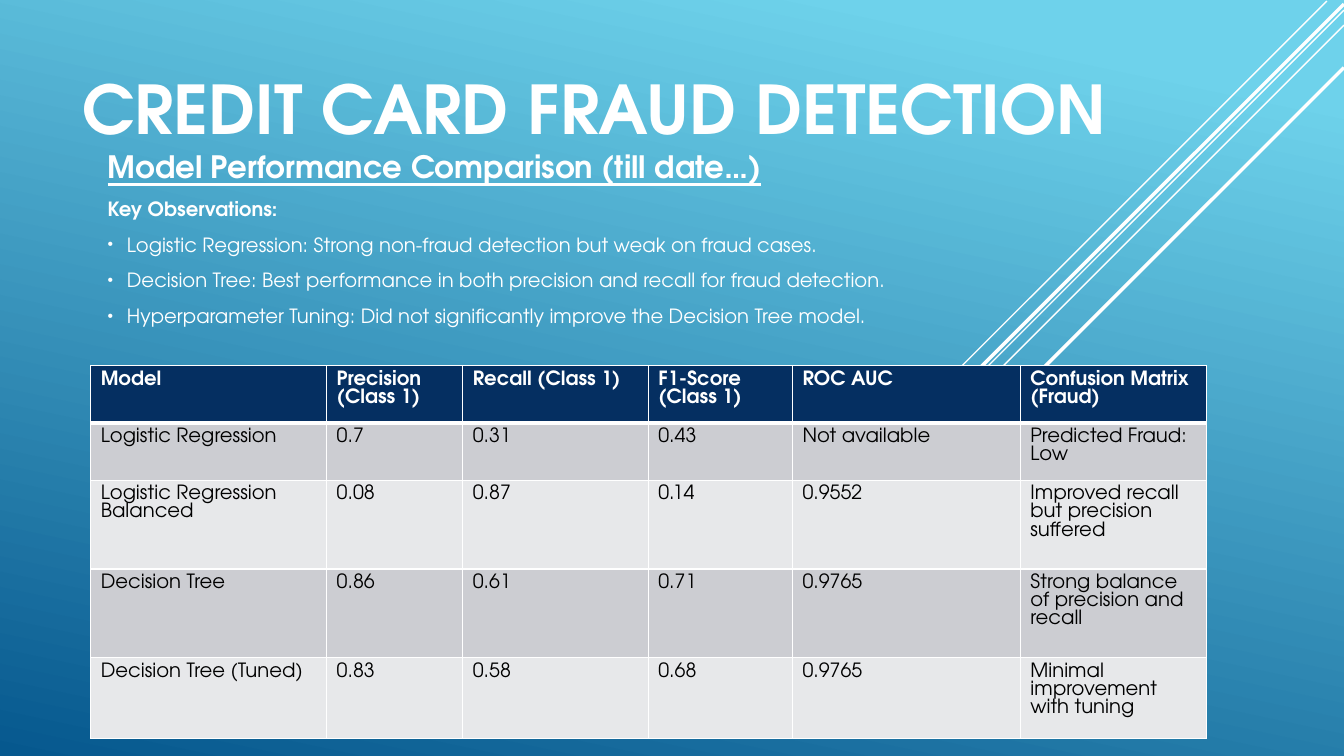
from lxml import etree
from pptx import Presentation, util as u
from pptx.dml.color import RGBColor
from pptx.enum import shapes, text
from pptx.oxml import parse_xml
from pptx.oxml.ns import nsdecls, qn

COLUMNS, ROWS = 1333, 750  # grid of hundredths of an inch
CELL = u.Inches(0.01)
FONT = "TeX Gyre Adventor"
WHITE, BLACK, NAVY = "FFFFFF", "000000", "052F61"
BANDS = "CCCDD2", "E7E8EA"

# left, top, width, height in grid cells
TITLE_BOX = 72, 50, 1189, 102
BODY_BOX = 97, 142, 1178, 592
TABLE_BOX = 90, 363, 1107, 338

# start column, start row, length in columns (and rows), weight in points
STRIPES = [
    (1316, 1, 416, 1),
    (1333, 10, 665, 1),
    (1333, 25, 542, 1),
    (1333, 4, 530, 2.5),
    (1333, 67, 475, 2.5),
]
OBSERVATIONS = [
    "Logistic Regression: Strong non-fraud detection but weak on fraud cases.",
    "Decision Tree: Best performance in both precision and recall for fraud detection.",
    "Hyperparameter Tuning: Did not significantly improve the Decision Tree model.",
]
COLUMN_WIDTHS = [234, 135, 184, 143, 226, 185]
ROW_HEIGHTS = [47, 47, 88, 88, 68]
RESULTS = [
    ["Model", "Precision (Class 1)", "Recall (Class 1)", "F1-Score (Class 1)",
     "ROC AUC", "Confusion Matrix (Fraud)"],
    ["Logistic Regression", "0.7", "0.31", "0.43", "Not available",
     "Predicted Fraud: Low"],
    ["Logistic Regression Balanced", "0.08", "0.87", "0.14", "0.9552",
     "Improved recall but precision suffered"],
    ["Decision Tree", "0.86", "0.61", "0.71", "0.9765",
     "Strong balance of precision and recall"],
    ["Decision Tree (Tuned)", "0.83", "0.58", "0.68", "0.9765",
     "Minimal improvement with tuning"],
]


def color(value):
    return RGBColor.from_string(value)


def grid(*cells):
    return [round(cell * CELL) for cell in cells]


def add_run(paragraph, words, size, fill=WHITE, bold=False, underline=False):
    run = paragraph.add_run()
    run.text = words
    font = run.font
    font.name, font.size = FONT, u.Pt(size)
    font.bold, font.underline = bold, underline
    font.color.rgb = color(fill)


def add_text_frame(slide, box, anchor):
    frame = slide.shapes.add_textbox(*grid(*box)).text_frame
    frame.word_wrap = True
    frame.vertical_anchor = anchor
    return frame


def add_bullet(paragraph):
    properties = paragraph._p.get_or_add_pPr()
    indent = u.Inches(0.19)
    properties.set("marL", str(indent))
    properties.set("indent", str(-indent))
    for markup in (
        f'<a:buClr {nsdecls("a")}><a:srgbClr val="{WHITE}"/></a:buClr>',
        f'<a:buSzPct {nsdecls("a")} val="80000"/>',
        f'<a:buFont {nsdecls("a")} typeface="Arial"/>',
        f'<a:buChar {nsdecls("a")} char="•"/>',
    ):
        properties.append(parse_xml(markup))


def set_border(cell, side, points):
    """Draw one white side (L, R, T or B) of a table cell."""
    properties = cell._tc.get_or_add_tcPr()
    line = etree.SubElement(properties, qn(f"a:ln{side}"), w=str(u.Pt(points)))
    solid = etree.SubElement(line, qn("a:solidFill"))
    etree.SubElement(solid, qn("a:srgbClr"), val=WHITE)


def paint_background(slide):
    fill = slide.background.fill
    fill.gradient()
    fill.gradient_angle = 360 - 102
    stops = [(0.1, "6ED2EB"), (1, "06588E")]
    for stop, (position, value) in zip(fill.gradient_stops, stops):
        stop.position = position
        stop.color.rgb = color(value)


def add_stripes(slide):
    for column, row, length, weight in STRIPES:
        ends = grid(column, row, column - length, row + length)
        stripe = slide.shapes.add_connector(shapes.MSO_CONNECTOR.STRAIGHT, *ends)
        stripe.line.color.rgb = color(WHITE)
        stripe.line.width = u.Pt(weight)
        etree.SubElement(stripe._element.spPr, qn("a:effectLst"))


def add_title(slide, box):
    frame = add_text_frame(slide, box, text.MSO_ANCHOR.BOTTOM)
    add_run(frame.paragraphs[0], "CREDIT CARD FRAUD DETECTION", 48, bold=True)


def add_observations(slide, box):
    frame = add_text_frame(slide, box, text.MSO_ANCHOR.TOP)
    heading = frame.paragraphs[0]
    add_run(heading, "Model Performance Comparison (till date…)", 22,
            bold=True, underline=True)
    add_run(frame.add_paragraph(), "Key Observations:", 14, bold=True)
    for observation in OBSERVATIONS:
        add_run(frame.add_paragraph(), observation, 14)
    for index, paragraph in enumerate(frame.paragraphs):
        paragraph.space_before = u.Pt(2.6 if index else 0)
        paragraph.space_after = u.Pt(6)
        if index > 1:
            add_bullet(paragraph)


def fill_cell(cell, words, row):
    header = row == 0
    add_run(cell.text_frame.paragraphs[0], words, 14,
            WHITE if header else BLACK, bold=header)
    for side in "LRTB":
        thick = (header and side == "B") or (row == 1 and side == "T")
        set_border(cell, side, 3 if thick else 1)
    cell.fill.solid()
    cell.fill.fore_color.rgb = color(NAVY if header else BANDS[(row - 1) % 2])


def add_results(slide, box):
    size = len(RESULTS), len(COLUMN_WIDTHS)
    table = slide.shapes.add_table(*size, *grid(*box)).table
    for column, width in zip(table.columns, grid(*COLUMN_WIDTHS)):
        column.width = width
    for row, height in zip(table.rows, grid(*ROW_HEIGHTS)):
        row.height = height
    for row, values in enumerate(RESULTS):
        for column, words in enumerate(values):
            fill_cell(table.cell(row, column), words, row)


def main():
    presentation = Presentation()
    presentation.slide_width, presentation.slide_height = grid(COLUMNS, ROWS)
    slide = presentation.slides.add_slide(presentation.slide_layouts[6])
    paint_background(slide)
    add_stripes(slide)
    add_title(slide, TITLE_BOX)
    add_observations(slide, BODY_BOX)
    add_results(slide, TABLE_BOX)
    presentation.save("out.pptx")


if __name__ == "__main__":
    main()
